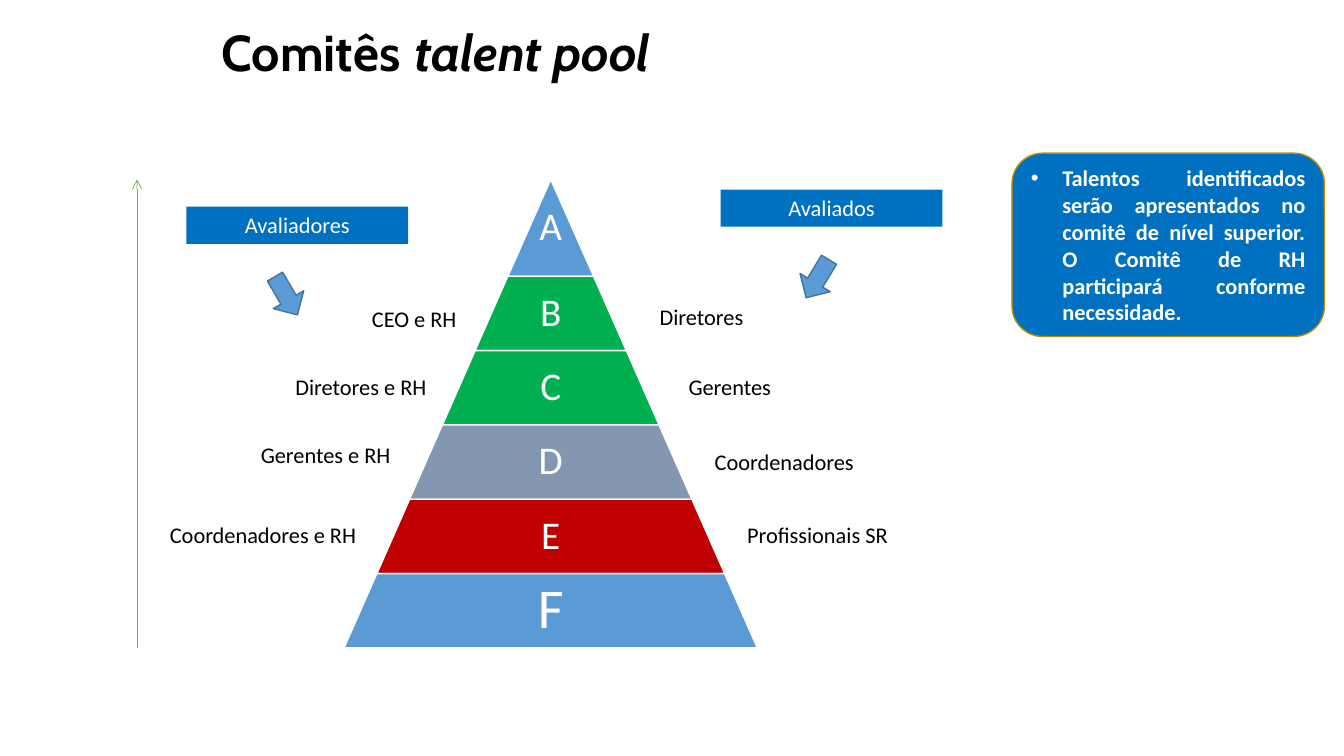
from lxml import etree
from pptx import Presentation
from pptx import util as u
from pptx.dml import color
from pptx.enum import shapes, text
from pptx.oxml import ns

COLORS = {
    "black": "000000", "white": "FFFFFF", "blue": "0070C0", "sky": "5B9BD5",
    "green": "00B050", "slate": "8497B0", "red": "C00000", "gold": "BD8E00",
    "navy": "43739E", "leaf": "70AD47",
}
TITLE = [
    ("Comitês", {"name": "Cabin", "size": 36, "bold": True}),
    (" ", {"size": 44}),
    ("talent pool", {"name": "Cabin", "size": 36, "bold": True, "italic": True}),
]
TIERS = [
    ("A", "sky", 28), ("B", "green", 28), ("C", "green", 28),
    ("D", "slate", 28), ("E", "red", 28), ("F", "sky", 40),
]
HEADERS = [("Avaliadores", 133.2, 147.6), ("Avaliados", 514.8, 135.4)]
LABELS = [
    ("CEO e RH", 216.7, 214.6, 158.4),
    ("Diretores e RH", 178.6, 262.8, 158.4),
    ("Gerentes e RH", 139.7, 311.4, 185.8),
    ("Coordenadores e RH", 95, 368.6, 185.8),
    ("Diretores", 421.9, 213.1, 158.4),
    ("Gerentes", 442.1, 262.8, 158.4),
    ("Coordenadores", 467.3, 316.8, 185.8),
    ("Profissionais SR", 491, 368.6, 185.8),
]
NOTE = ("Talentos identificados serão apresentados no comitê de nível superior. "
        "O Comitê de RH participará conforme necessidade.")
ARROWS = [(188.6, 198.7, 59.6), (568.1, 186.5, 121.1)]

CENTER_X, PYRAMID_TOP = 393.4, 128.2
PEAK_WIDTH, WIDTH_STEP = 61.2, 46.8
PEAK_HEIGHT, TIER_HEIGHT = 69.1, 53.1
LABEL_HEIGHT, HEADER_WIDTH = 26.6, 158.4
SHAPE = shapes.MSO_SHAPE
ALIGN = text.PP_ALIGN
ANCHOR = text.MSO_ANCHOR

presentation = Presentation()
presentation.slide_width, presentation.slide_height = u.Pt(960), u.Pt(540)
slide = presentation.slides.add_slide(presentation.slide_layouts[6])


def rgb(name):
    return color.RGBColor.from_string(COLORS[name])


def set_values(target, values):
    for name, value in values.items():
        setattr(target, name, value)


def add_box(box, fill=None, line=None, preset=None, rotation=0):
    lengths = [u.Pt(round(value, 2)) for value in box]
    if preset is None:
        return slide.shapes.add_textbox(*lengths)
    shape = slide.shapes.add_shape(preset, *lengths)
    shape.shadow.inherit = False
    shape.rotation = rotation
    shape.fill.solid()
    shape.fill.fore_color.rgb = rgb(fill)
    if line:
        shape.line.color.rgb = rgb(line)
        shape.line.width = u.Pt(1)
    else:
        shape.line.fill.background()
    return shape


def write(shape, runs, font_color="black", align=ALIGN.CENTER,
          anchor=ANCHOR.TOP, spacing=1.0, inset=None):
    frame = shape.text_frame
    set_values(frame, {"word_wrap": True, "vertical_anchor": anchor})
    if inset is not None:
        sides = ("left", "top", "right", "bottom")
        set_values(frame, {f"margin_{side}": u.Pt(inset) for side in sides})
    paragraph = frame.paragraphs[0]
    set_values(paragraph, {"alignment": align, "line_spacing": spacing})
    for words, values in runs:
        run = paragraph.add_run()
        run.text = words
        font = {"name": "Calibri", "size": 16, "bold": False, **values}
        font["size"] = u.Pt(font["size"])
        set_values(run.font, font)
        run.font.color.rgb = rgb(font_color)
    return paragraph


def add_title():
    write(add_box((151.2, -7.9, 624.2, 90)), TITLE, align=ALIGN.LEFT,
          anchor=ANCHOR.MIDDLE, spacing=0.9)


def add_pyramid():
    top = PYRAMID_TOP
    for index, (letter, fill, size) in enumerate(TIERS):
        width = PEAK_WIDTH + index * WIDTH_STEP
        height = TIER_HEIGHT if index else PEAK_HEIGHT
        slant = WIDTH_STEP / 2 if index else PEAK_WIDTH / 2
        box = (CENTER_X - width / 2, top, width, height)
        tier = add_box(box, fill, "white", SHAPE.TRAPEZOID)
        tier.adjustments[0] = round(slant / min(width, height), 3)
        write(add_box(box), [(letter, {"size": size})], "white",
              anchor=ANCHOR.MIDDLE, spacing=0.9, inset=size / 10)
        top += height


def add_axis():
    ends = [u.Pt(value) for value in (97.9, 463, 97.9, 128.2)]
    axis = slide.shapes.add_connector(shapes.MSO_CONNECTOR.STRAIGHT, *ends)
    axis.line.color.rgb = rgb("leaf")
    axis.line.width = u.Pt(0.5)
    etree.SubElement(axis.line._get_or_add_ln(), ns.qn("a:tailEnd"), type="arrow")
    etree.SubElement(axis._element.spPr, ns.qn("a:effectLst"))


def add_labels():
    for words, left, top in HEADERS:
        header = add_box((left, top, HEADER_WIDTH, LABEL_HEIGHT), "blue",
                         preset=SHAPE.RECTANGLE)
        write(header, [(words, {})], "white")
    for words, left, top, width in LABELS:
        write(add_box((left, top, width, LABEL_HEIGHT)), [(words, {})])


def add_note():
    note = add_box((722.9, 109.4, 223.2, 131), "blue", "gold",
                   SHAPE.ROUNDED_RECTANGLE)
    paragraph = write(note, [(NOTE, {"bold": True})], "white",
                      ALIGN.JUSTIFY, ANCHOR.MIDDLE)
    properties = paragraph._p.get_or_add_pPr()
    indent = u.Pt(22.5)
    properties.set("marL", str(indent))
    properties.set("indent", str(-indent))
    etree.SubElement(properties, ns.qn("a:buFont"), typeface="Arial")
    etree.SubElement(properties, ns.qn("a:buChar"), char="•")


def add_arrows():
    for left, top, rotation in ARROWS:
        add_box((left, top, 31.7, 25.2), "sky", "navy", SHAPE.RIGHT_ARROW, rotation)


def main():
    for add_part in (add_title, add_pyramid, add_axis, add_labels, add_note, add_arrows):
        add_part()
    presentation.save("out.pptx")


if __name__ == "__main__":
    main()
